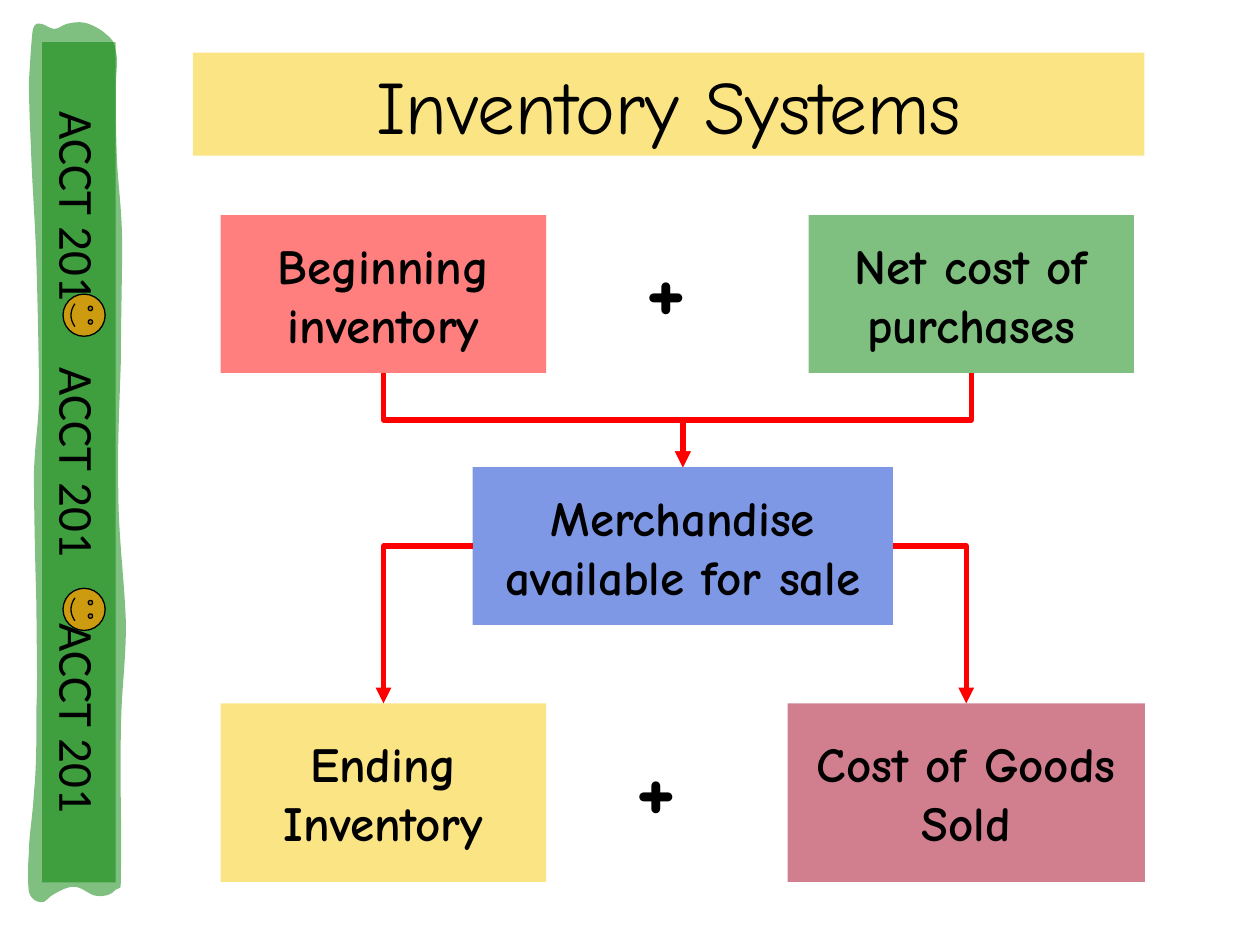
"""Build the inventory systems flow slide."""
from dataclasses import dataclass

from lxml.etree import SubElement
from pptx import Presentation
from pptx.dml.color import RGBColor
from pptx.enum.shapes import MSO_CONNECTOR, MSO_SHAPE
from pptx.enum.text import MSO_ANCHOR, PP_ALIGN
from pptx.oxml.ns import qn
from pptx.util import Cm, Pt

HUES = {"gold": "F8CB0A", "red": "FF0000", "green": "008000", "blue": "0033CC",
        "wine": "A50021", "smile": "CC9B10", "black": "000000"}
FACE = "Comic Neue"
START = (0.29, 5.61)
CURVES = [
    (0.3, 5.37, 0.29, 5.12, 0.29, 4.81), (0.28, 4.5, 0.27, 4.03, 0.27, 3.75),
    (0.28, 3.48, 0.3, 3.44, 0.31, 3.17), (0.31, 2.89, 0.3, 2.42, 0.29, 2.1),
    (0.28, 1.78, 0.26, 1.52, 0.25, 1.27), (0.24, 1.03, 0.23, 0.82, 0.23, 0.65),
    (0.24, 0.48, 0.25, 0.32, 0.26, 0.24), (0.28, 0.17, 0.3, 0.19, 0.33, 0.19),
    (0.35, 0.19, 0.4, 0.23, 0.43, 0.23), (0.47, 0.23, 0.49, 0.2, 0.53, 0.19),
    (0.57, 0.18, 0.62, 0.17, 0.67, 0.18), (0.72, 0.19, 0.8, 0.23, 0.84, 0.27),
    (0.89, 0.31, 0.91, 0.33, 0.92, 0.41), (0.94, 0.48, 0.92, 0.57, 0.92, 0.71),
    (0.92, 0.86, 0.92, 1.08, 0.93, 1.29), (0.94, 1.49, 0.97, 1.68, 0.97, 1.95),
    (0.97, 2.21, 0.96, 2.54, 0.96, 2.86), (0.95, 3.19, 0.93, 3.56, 0.94, 3.91),
    (0.94, 4.25, 0.99, 4.63, 1, 4.95), (1, 5.27, 0.96, 5.5, 0.96, 5.83),
    (0.95, 6.15, 0.97, 6.69, 0.96, 6.9), (0.96, 7.1, 0.96, 7.03, 0.92, 7.06),
    (0.89, 7.1, 0.83, 7.12, 0.77, 7.11), (0.72, 7.11, 0.65, 7.04, 0.6, 7.04),
    (0.54, 7.03, 0.48, 7.07, 0.44, 7.09), (0.39, 7.11, 0.36, 7.17, 0.33, 7.16),
    (0.29, 7.16, 0.25, 7.14, 0.23, 7.08), (0.22, 7.01, 0.22, 6.89, 0.23, 6.76),
    (0.23, 6.63, 0.26, 6.48, 0.27, 6.29), (0.29, 6.1, 0.29, 5.86, 0.29, 5.61),
]


@dataclass
class Box:
    """A labelled rectangle, measured in centimetres."""
    text: str
    hue: str
    left: float
    top: float
    width: float
    height: float


BOXES = {
    "begin": Box("Beginning\ninventory", "red", 4.45, 4.34, 6.56, 3.18),
    "net": Box("Net cost of\npurchases", "green", 16.3, 4.34, 6.56, 3.18),
    "goods": Box("Merchandise\navailable for sale", "blue", 9.53, 9.42, 8.47, 3.18),
    "end": Box("Ending Inventory", "gold", 4.45, 14.18, 6.56, 3.6),
    "sold": Box("Cost of Goods\nSold", "wine", 15.88, 14.18, 7.2, 3.6),
}


def color(name: str) -> RGBColor:
    """Look up a named colour."""
    return RGBColor.from_string(HUES[name])


def paint(shape, hue: str, clear: bool = True) -> None:
    """Fill a shape, half transparent if clear, without line."""
    shape.fill.solid()
    shape.fill.fore_color.rgb = color(hue)
    shape.line.fill.background()
    if clear:
        tint = shape.fill._xPr.find(qn("a:solidFill"))[0]
        SubElement(tint, qn("a:alpha"), val="50000")


def write(shape, text: str, size: float, bold: bool = True, face: str = FACE,
          align=PP_ALIGN.CENTER, tabs: tuple = ()) -> None:
    """Write one paragraph into a shape."""
    frame = shape.text_frame
    frame.word_wrap = True
    para = frame.paragraphs[0]
    para.text = text
    para.alignment = align
    if tabs:
        stops = SubElement(para._p.get_or_add_pPr(), qn("a:tabLst"))
        for stop in tabs:
            SubElement(stops, qn("a:tab"), pos=str(Cm(stop)), algn="l")
    font = para.font
    font.name, font.size, font.bold = face, Pt(size), bold
    font.color.rgb = color("black")


def block(shapes, box: Box):
    """Draw a tinted rectangle, with its label if it has one."""
    shape = shapes.add_shape(MSO_SHAPE.RECTANGLE, Cm(box.left), Cm(box.top),
                             Cm(box.width), Cm(box.height))
    shape.shadow.inherit = False
    paint(shape, box.hue)
    shape.text_frame.vertical_anchor = MSO_ANCHOR.MIDDLE
    if box.text:
        write(shape, box.text, 28)
    return shape


def arrow(slide, head, side: int, tail, port: int) -> None:
    """Join two boxes with a red elbow arrow."""
    link = slide.shapes.add_connector(MSO_CONNECTOR.ELBOW, 0, 0, 0, 0)
    link.begin_connect(head, side)
    link.end_connect(tail, port)
    link.line.color.rgb = color("red")
    link.line.width = Pt(3)
    SubElement(link.line._get_or_add_ln(), qn("a:tailEnd"), type="triangle")
    props = link._element.spPr
    SubElement(props, qn("a:effectLst"))
    if side != 2:
        props.find(qn("a:prstGeom")).set("prst", "bentConnector2")
        form = props.find(qn("a:xfrm"))
        if form.attrib.pop("flipH", None):
            form.set("rot", str(180 * 60000))
            form.set("flipV", "1")
        return
    right = link.end_x > link.begin_x
    wide, tall = link.width, link.height
    link.left += (wide - tall) // 2
    link.top += (tall - wide) // 2
    link.width, link.height = tall, wide
    form = props.find(qn("a:xfrm"))
    form.set("rot", str((270 if right else 90) * 60000))
    form.set("flipH", "1" if right else "0")


def plus(slide, left: float, top: float) -> None:
    """Place a plus sign between two boxes."""
    write(slide.shapes.add_textbox(Cm(left), Cm(top), Cm(2.34), Cm(2.54)), "+", 54)


def wave(shapes) -> None:
    """Draw the wavy ribbon edge from cubic curves."""
    pen = shapes.build_freeform(*(Cm(2.54 * v) for v in START))
    pen.add_line_segments([[Cm(2.54 * v) for v in curve[4:]] for curve in CURVES])
    shape = pen.convert_to_shape()
    shape.shadow.inherit = False
    paint(shape, "green")
    track = next(shape._element.iter(qn("a:path")))
    for line in track.findall(qn("a:lnTo")):
        track.remove(line)
    for curve in CURVES:
        bend = SubElement(track, qn("a:cubicBezTo"))
        for x, y in zip(curve[::2], curve[1::2]):
            SubElement(bend, qn("a:pt"), x=str(Cm(2.54 * x) - shape.left),
                       y=str(Cm(2.54 * y) - shape.top))
    SubElement(track, qn("a:close"))


def ribbon(slide) -> None:
    """Draw the course ribbon with its label and smiles."""
    shapes = slide.shapes.add_group_shape().shapes
    wave(shapes)
    band = block(shapes, Box("", "green", -6.88, 8.58, 16.94, 1.48))
    band.rotation = 90
    band.text_frame.margin_left = Cm(1.4)
    write(band, "\t".join(["ACCT 201"] * 3), 28, False, "Calibri",
          PP_ALIGN.LEFT, (5.16, 10.32))
    for top in (5.93, 11.86):
        smile = shapes.add_shape(MSO_SHAPE.SMILEY_FACE, Cm(1.27), Cm(top),
                                 Cm(0.85), Cm(0.85))
        smile.shadow.inherit = False
        smile.rotation = 90
        paint(smile, "smile", False)
        smile.line.color.rgb = color("black")
        smile.line.width = Pt(0.75)


def main() -> None:
    """Build and save the slide."""
    deck = Presentation()
    deck.slide_width, deck.slide_height = Cm(25.4), Cm(19.05)
    slide = deck.slides.add_slide(deck.slide_layouts[5])
    title = slide.shapes.title
    title.left, title.top, title.width, title.height = map(Cm, (3.89, 1.06, 19.18, 2.08))
    paint(title, "gold")
    title.text_frame.vertical_anchor = MSO_ANCHOR.MIDDLE
    write(title, "Inventory Systems", 43, False)
    plus(slide, 12.26, 4.45)
    plus(slide, 12.06, 14.51)
    made = {name: block(slide.shapes, box) for name, box in BOXES.items()}
    for name in ("begin", "net"):
        arrow(slide, made[name], 2, made["goods"], 0)
    for name, side in (("end", 1), ("sold", 3)):
        arrow(slide, made["goods"], side, made[name], 0)
    ribbon(slide)
    deck.save("out.pptx")


if __name__ == "__main__":
    main()
